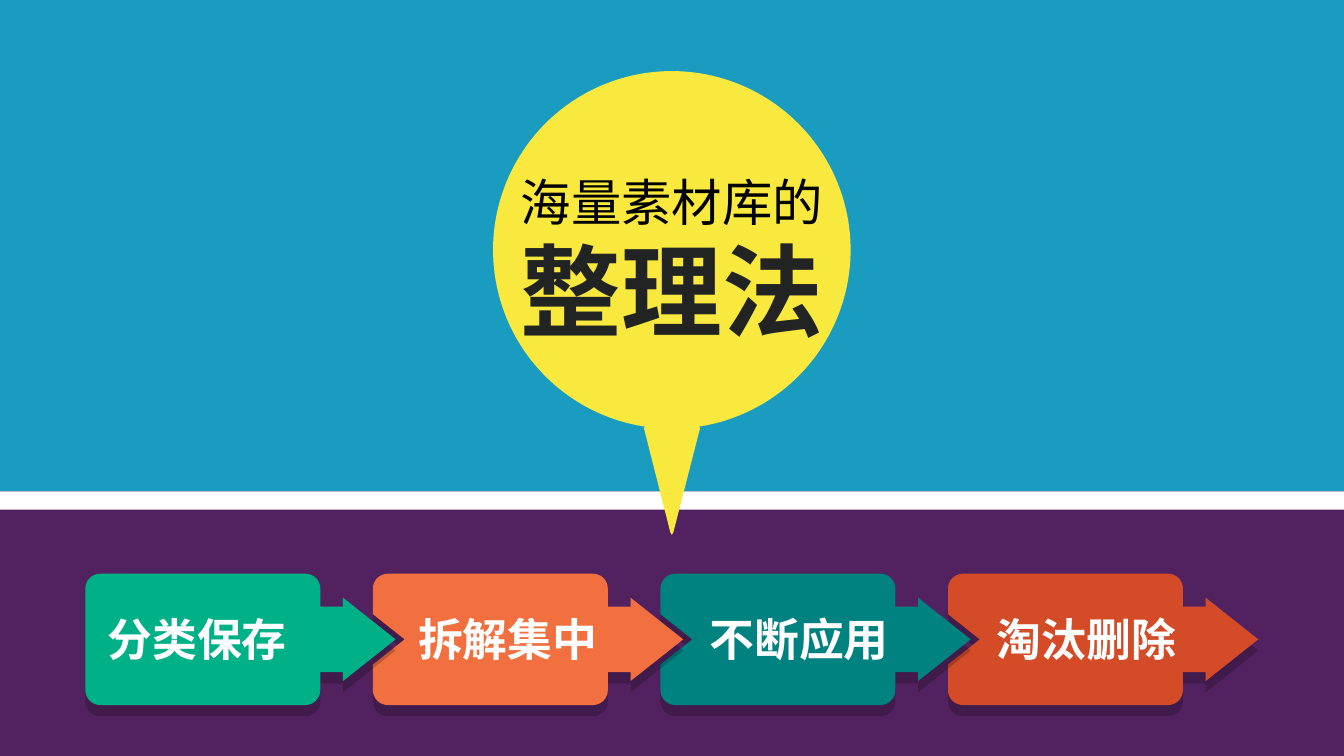
"""Build the title slide with a speech balloon above four chained step arrows."""
import math

import lxml.etree
import pptx
import pptx.dml.color
import pptx.enum.shapes
import pptx.enum.text
import pptx.oxml.ns
import pptx.util

Pt = pptx.util.Pt
RGBColor = pptx.dml.color.RGBColor
SHAPE = pptx.enum.shapes.MSO_SHAPE
ALIGN = pptx.enum.text.PP_ALIGN

SKY = RGBColor(0x1A, 0x9C, 0xC0)
PURPLE = RGBColor(0x52, 0x22, 0x60)
WHITE = RGBColor(0xFF, 0xFF, 0xFF)
YELLOW = RGBColor(0xF9, 0xE9, 0x3E)
BLACK = RGBColor(0x00, 0x00, 0x00)
CHARCOAL = RGBColor(0x22, 0x24, 0x23)
GREEN = RGBColor(0x00, 0xB1, 0x87)
ORANGE = RGBColor(0xF2, 0x70, 0x3F)
TEAL = RGBColor(0x00, 0x82, 0x81)
RED = RGBColor(0xD4, 0x4B, 0x27)


def paint(shape, color):
    """Give a shape a flat fill without line or shadow."""
    shape.fill.solid()
    shape.fill.fore_color.rgb = color
    shape.line.fill.background()
    shape.shadow.inherit = False


def write(text, left, top, width, height, size, color, bold, align):
    """Add one unwrapped line of text."""
    box = slide.shapes.add_textbox(Pt(left), Pt(top), Pt(width), Pt(height))
    box.text_frame.word_wrap = False
    box.text_frame.auto_size = pptx.enum.text.MSO_AUTO_SIZE.SHAPE_TO_FIT_TEXT
    paragraph = box.text_frame.paragraphs[0]
    paragraph.text = text
    paragraph.alignment = align
    paragraph.font.name = "Arial"
    paragraph.font.size = Pt(size)
    paragraph.font.bold = bold
    paragraph.font.color.rgb = color


presentation = pptx.Presentation()
presentation.slide_width = Pt(960)
presentation.slide_height = Pt(540)
slide = presentation.slides.add_slide(presentation.slide_layouts[6])
slide.background.fill.solid()
slide.background.fill.fore_color.rgb = SKY

for top, height, color in [(351, 189, PURPLE), (351, 13, WHITE)]:
    band = slide.shapes.add_shape(SHAPE.RECTANGLE, 0, Pt(top), Pt(960), Pt(height))
    paint(band, color)

balloon = slide.shapes.add_group_shape()
disc = balloon.shapes.add_shape(SHAPE.OVAL, Pt(352.2), Pt(50.8), Pt(255.4), Pt(255.4))
paint(disc, YELLOW)
tail_outline = [(460, 306), (462, 301), (498, 301), (500, 306),
                (481, 380.2), (479.9, 382), (478.8, 380.2)]
tail_points = [(Pt(x), Pt(y)) for x, y in tail_outline]
tail_builder = balloon.shapes.build_freeform(*tail_points[0])
tail_builder.add_line_segments(tail_points[1:], close=True)
paint(tail_builder.convert_to_shape(), YELLOW)

STEP_LEFT, STEP_TOP, STEP_PITCH = 61, 409.8, 205.4
CARD_WIDTH, CARD_HEIGHT, RADIUS = 167.8, 93.8, 10.6
MIDDLE = CARD_HEIGHT / 2
SHAFT_END, TIP, NOTCH = 184, 221.6, 22.7
SHAFT_HALF, HEAD_HALF, NOTCH_HALF = 23.4, 29.8, 18
ARC_STEPS = 8

near, far, low = RADIUS, CARD_WIDTH - RADIUS, CARD_HEIGHT - RADIUS
corners = [
    [(x + RADIUS * math.cos(angle), y + RADIUS * math.sin(angle))
     for angle in (math.radians(start + 90 * i / ARC_STEPS) for i in range(ARC_STEPS + 1))]
    for x, y, start in [(near, near, 180), (far, near, 270), (far, low, 0), (near, low, 90)]
]
arrow = [(CARD_WIDTH, MIDDLE - SHAFT_HALF), (SHAFT_END, MIDDLE - SHAFT_HALF),
         (SHAFT_END, MIDDLE - HEAD_HALF), (TIP, MIDDLE), (SHAFT_END, MIDDLE + HEAD_HALF),
         (SHAFT_END, MIDDLE + SHAFT_HALF), (CARD_WIDTH, MIDDLE + SHAFT_HALF)]
notch = [(0, MIDDLE + NOTCH_HALF), (NOTCH, MIDDLE), (0, MIDDLE - NOTCH_HALF)]
first_outline = corners[0] + corners[1] + arrow + corners[2] + corners[3]

steps = [("分类保存", GREEN, 69.8), ("拆解集中", ORANGE, 291.6),
         ("不断应用", TEAL, 499.7), ("淘汰删除", RED, 704.9)]

for index, (label, color, label_left) in reversed(list(enumerate(steps))):
    outline = first_outline + (notch if index else [])
    left = STEP_LEFT + index * STEP_PITCH
    points = [(Pt(left + x), Pt(STEP_TOP + y)) for x, y in outline]
    step_builder = slide.shapes.build_freeform(*points[0])
    step_builder.add_line_segments(points[1:], close=True)
    step = step_builder.convert_to_shape()
    paint(step, color)
    qn = pptx.oxml.ns.qn
    effects = step._element.spPr.find(qn("a:effectLst"))
    shadow = lxml.etree.SubElement(effects, qn("a:outerShdw"), blurRad="0",
                                   dist=str(Pt(8)), dir="5400000", algn="t", rotWithShape="0")
    shadow_color = lxml.etree.SubElement(shadow, qn("a:srgbClr"), val="000000")
    lxml.etree.SubElement(shadow_color, qn("a:alpha"), val="20000")

for label, color, label_left in steps:
    write(label, label_left, 433.4, 144, 46, 32, WHITE, True, ALIGN.LEFT)

write("整理法", 363.6, 159.8, 232.6, 94.3, 72, CHARCOAL, True, ALIGN.CENTER)
write("海量素材库的", 363.6, 118.8, 232.6, 51, 36, BLACK, False, ALIGN.CENTER)

presentation.save("out.pptx")
